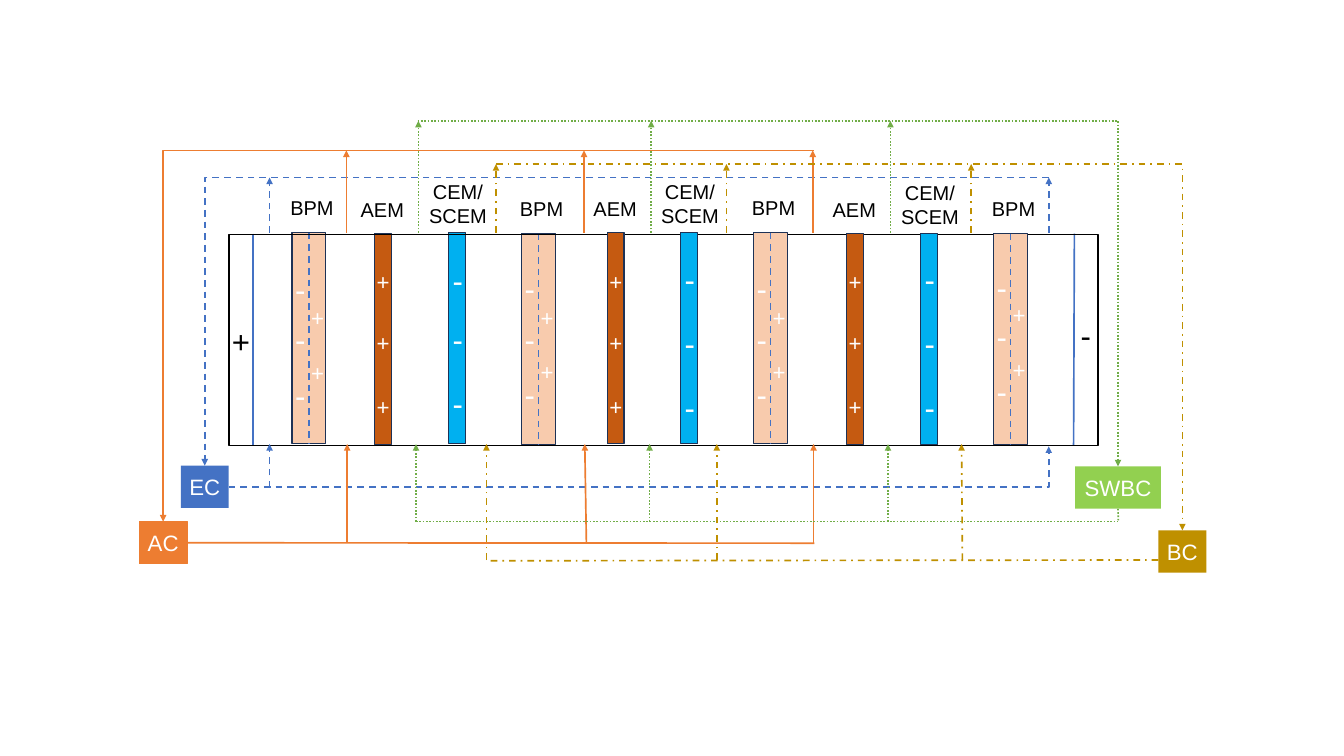
"""Build a slide showing a bipolar membrane stack and its four circuits."""
from lxml import etree
from pptx import Presentation
from pptx.dml.color import RGBColor
from pptx.enum.dml import MSO_LINE
from pptx.enum.shapes import MSO_CONNECTOR, MSO_SHAPE
from pptx.enum.text import MSO_ANCHOR, MSO_AUTO_SIZE, PP_ALIGN
from pptx.oxml.ns import qn
from pptx.util import Cm, Pt

STRAIGHT, ELBOW = MSO_CONNECTOR.STRAIGHT, MSO_CONNECTOR.ELBOW
RECTANGLE = MSO_SHAPE.RECTANGLE
DASH, DOT, DASH_DOT = MSO_LINE.DASH, MSO_LINE.ROUND_DOT, MSO_LINE.DASH_DOT
LEFT, CENTER = PP_ALIGN.LEFT, PP_ALIGN.CENTER
TOP_SIDE, BOTTOM_SIDE, RIGHT_SIDE = 0, 2, 3

COLORS = {
    "black": "000000", "white": "FFFFFF", "edge": "1E3256",
    "BPM": "F8CBAD", "AEM": "C55A11", "CEM": "00B0F0",
    "blue": "4472C4", "orange": "ED7D31", "green": "70AD47",
    "lime": "92D050", "gold": "BF9000",
}
KINDS = {
    "BPM": {"lines": ["BPM"], "width": 0.42, "label": (-0.12, -0.51, 0.81, 0.4),
            "minus": -0.06, "plus": 0.14},
    "AEM": {"lines": ["AEM"], "width": 0.21, "label": (-0.27, -0.5, 0.81, 0.4),
            "minus": 0, "plus": -0.07},
    "CEM": {"lines": ["CEM/", "SCEM"], "width": 0.21, "label": (-0.37, -0.71, 0.97, 0.71),
            "minus": -0.05, "plus": 0},
}
MEMBRANES = [
    ("BPM", 3.65, 2.91, (3.33, 3.96, 4.65), (3.76, 4.44)),
    ("AEM", 4.68, 2.92, (), (3.3, 4.07, 4.87)),
    ("CEM", 5.61, 2.91, (3.22, 3.96, 4.75), ()),
    ("BPM", 6.52, 2.92, (3.32, 3.95, 4.64), (3.75, 4.43)),
    ("AEM", 7.59, 2.91, (), (3.3, 4.07, 4.87)),
    ("CEM", 8.51, 2.91, (3.21, 4, 4.8), ()),
    ("BPM", 9.42, 2.91, (3.32, 3.95, 4.64), (3.75, 4.43)),
    ("AEM", 10.58, 2.92, (), (3.3, 4.07, 4.87)),
    ("CEM", 11.51, 2.92, (3.21, 4, 4.8), ()),
    ("BPM", 12.42, 2.92, (3.3, 3.92, 4.61), (3.72, 4.4)),
]
FRAMED_FIRST = 4
FRAME = (2.86, 2.93, 10.87, 2.64)
ELECTRODES = [("+", 2.8, 3.98, (3.16, 2.92, 3.16, 5.58)),
              ("-", 13.41, 3.91, (13.43, 2.92, 13.42, 5.57))]
CIRCUITS = [
    {"name": "EC", "box": (2.26, 5.82, 0.6), "fill": "blue", "color": "blue", "dash": DASH,
     "outlets": (3.37, 13.11), "collector": (13.11, 2.22),
     "inlets": ((3.37, 3.37),), "feed_y": 6.09},
    {"name": "AC", "box": (1.74, 6.52, 0.6), "fill": "orange", "color": "orange", "dash": None,
     "outlets": (4.33, 7.3, 10.16), "collector": (10.17, 1.88),
     "inlets": ((4.34, 4.34), (7.33, 7.31), (10.17, 10.17)), "feed_y": 6.79},
    {"name": "SWBC", "box": (13.44, 5.83, 1.07), "fill": "lime", "color": "green", "dash": DOT,
     "outlets": (5.23, 8.14, 11.13), "collector": (5.22, 1.51),
     "inlets": ((5.2, 5.2), (8.12, 8.12), (11.1, 11.1)), "feed_y": 6.52},
    {"name": "BC", "box": (14.48, 6.63, 0.6), "fill": "gold", "color": "gold", "dash": DASH_DOT,
     "outlets": (6.2, 9.08, 12.14), "collector": (6.2, 2.05),
     "inlets": ((6.08, 6.08), (8.96, 8.96), (12.03, 12.02)), "feed_y": 7},
]
STACK_TOP, STACK_BOTTOM, PLATE_HEIGHT, BOX_HEIGHT = 2.91, 5.55, 2.64, 0.53
ELBOW_FEED_END = (13.11, 5.58)
FEEDS = {
    "AC": ((2.34, 6.79, 10.18, 6.79), RIGHT_SIDE),
    "SWBC": ((13.98, 6.36, 13.98, 6.52), BOTTOM_SIDE),
    "SWBC run": ((5.2, 6.52, 13.98, 6.52), None),
    "BC": ((14.48, 7, 6.08, 7.01), None),
}
MARK_HEIGHTS = {28: 0.57, 20: 0.44}

presentation = Presentation()


def inches(*values):
    return [Cm(value * 2.54) for value in values]


presentation.slide_width, presentation.slide_height = inches(16.8, 9.45)
slide = presentation.slides.add_slide(presentation.slide_layouts[6])


def rgb(name):
    return RGBColor.from_string(COLORS[name])


def apply(target, values):
    for attribute, value in values.items():
        setattr(target, attribute, value)


def write(frame, lines, size, color, align):
    for number, line in enumerate(lines):
        paragraph = frame.paragraphs[0] if number == 0 else frame.add_paragraph()
        paragraph.alignment = align
        run = paragraph.add_run()
        run.text = line
        apply(run.font, {"name": "Arial", "size": Pt(size)})
        run.font.color.rgb = rgb(color)


def add_label(place, lines, size, color="black", align=LEFT):
    frame = slide.shapes.add_textbox(*inches(*place)).text_frame
    apply(frame, {"word_wrap": True, "auto_size": MSO_AUTO_SIZE.SHAPE_TO_FIT_TEXT})
    write(frame, lines, size, color, align)


def add_mark(sign, left, top, size, color="white"):
    add_label((left, top, 0.45, MARK_HEIGHTS[size]), [sign], size, color)


def add_box(place, fill=None, edge=None, weight=1):
    box = slide.shapes.add_shape(RECTANGLE, *inches(*place))
    box.shadow.inherit = False
    for part, color in ((box.fill, fill), (box.line.fill, edge)):
        if color:
            part.solid()
            part.fore_color.rgb = rgb(color)
        else:
            part.background()
    if edge:
        box.line.width = Pt(weight)
    return box


def add_line(ends, color, dash=None, arrow=False, kind=STRAIGHT):
    line = slide.shapes.add_connector(kind, *inches(*ends))
    line.line.color.rgb = rgb(color)
    apply(line.line, {"width": Pt(1.5), "dash_style": dash})
    properties = line.element.spPr
    if arrow:
        etree.SubElement(properties.find(qn("a:ln")), qn("a:tailEnd"), type="triangle")
    etree.SubElement(properties, qn("a:effectLst"))
    if kind == ELBOW:
        properties.find(qn("a:prstGeom")).set("prst", "bentConnector2")
    return line


def add_membrane(kind, left, top, minus_tops, plus_tops):
    style = KINDS[kind]
    add_box((left, top, style["width"], PLATE_HEIGHT), kind, "edge")
    if kind == "BPM":
        middle = left + style["width"] / 2
        add_line((middle, top, middle, top + PLATE_HEIGHT), "blue", DASH)
    shift_x, shift_y, width, height = style["label"]
    add_label((left + shift_x, top + shift_y, width, height), style["lines"], 18,
              align=CENTER if kind == "CEM" else LEFT)
    for mark_top in minus_tops:
        add_mark("-", left + style["minus"], mark_top, 28)
    for mark_top in plus_tops:
        add_mark("+", left + style["plus"], mark_top, 20)


def add_circuit(circuit):
    name, color, dash = circuit["name"], circuit["color"], circuit["dash"]
    left, top, width = circuit["box"]
    box = add_box((left, top, width, BOX_HEIGHT), circuit["fill"],
                  "orange" if name == "AC" else None)
    box.text_frame.vertical_anchor = MSO_ANCHOR.MIDDLE
    write(box.text_frame, [name], 20, "white", CENTER)
    start_x, collector_y = circuit["collector"]
    for x in circuit["outlets"]:
        add_line((x, STACK_TOP, x, collector_y), color, dash, True)
    collector = add_line((start_x, collector_y, left + width / 2, top), color, dash, True, ELBOW)
    collector.end_connect(box, TOP_SIDE)
    for from_x, to_x in circuit["inlets"]:
        add_line((from_x, circuit["feed_y"], to_x, STACK_BOTTOM), color, dash, True)
    if name == "EC":
        feed = add_line((left + width, circuit["feed_y"], *ELBOW_FEED_END),
                        color, dash, True, ELBOW)
        feed.begin_connect(box, RIGHT_SIDE)
    for key, (ends, side) in FEEDS.items():
        if key.split()[0] == name:
            feed = add_line(ends, color, dash)
            if side is not None:
                feed.begin_connect(box, side)


for sign, left, top, ends in ELECTRODES:
    add_line(ends, "blue")
    add_mark(sign, left, top, 28, "black")
for membrane in MEMBRANES[:FRAMED_FIRST]:
    add_membrane(*membrane)
add_box(FRAME, edge="black", weight=1.5)
for membrane in MEMBRANES[FRAMED_FIRST:]:
    add_membrane(*membrane)
for circuit in CIRCUITS:
    add_circuit(circuit)
presentation.save("out.pptx")
